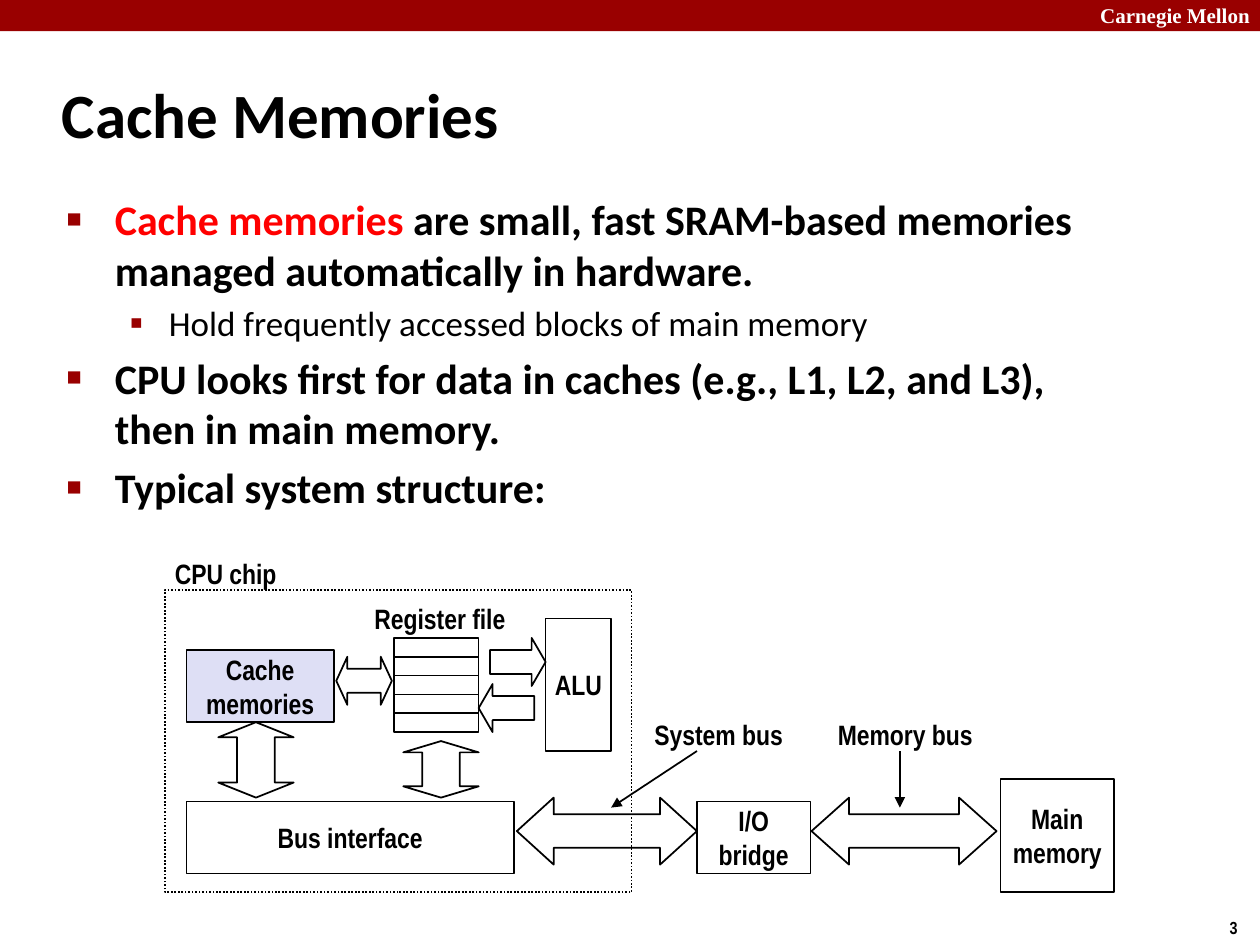
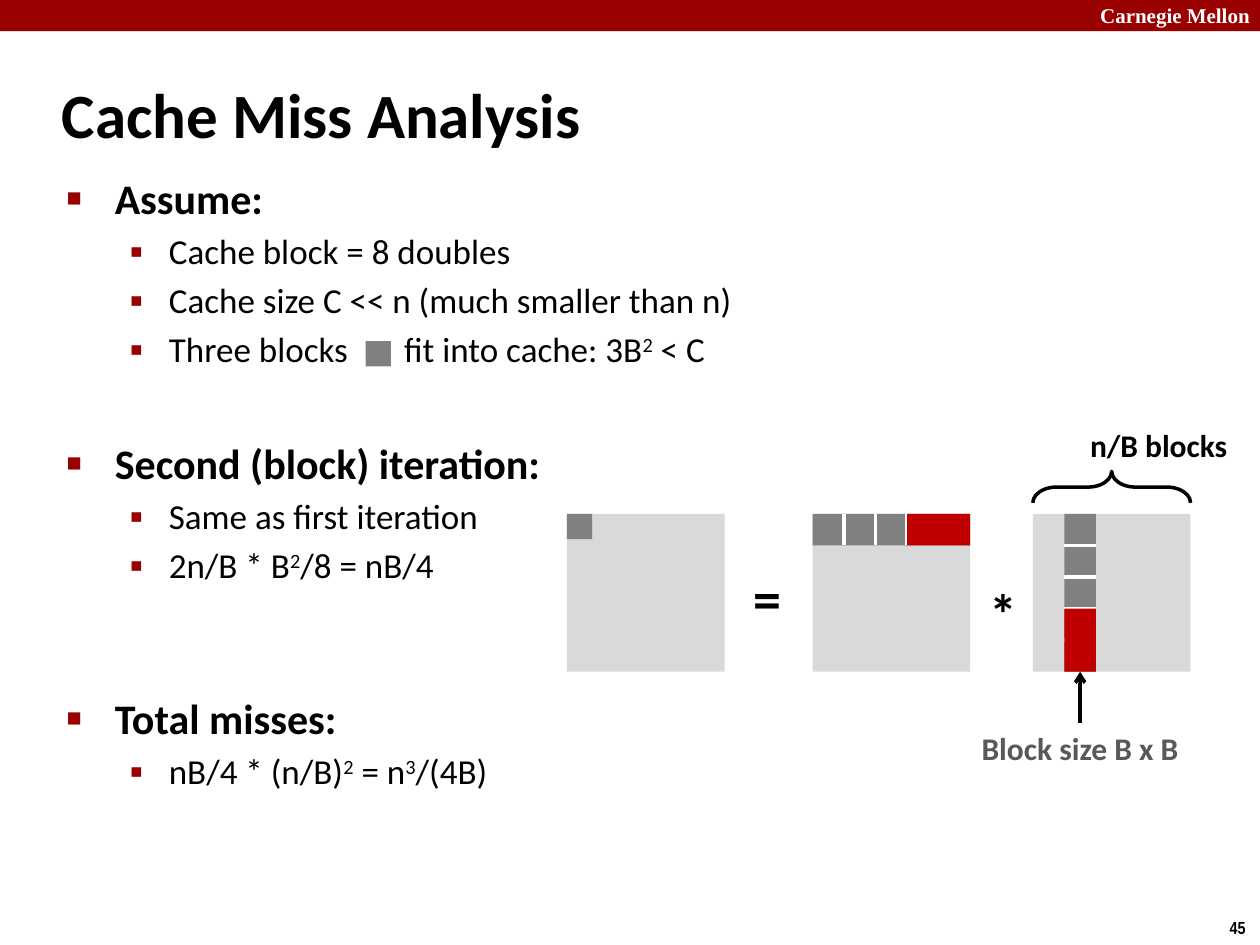
from dataclasses import dataclass

from lxml import etree
from pptx import Presentation
from pptx.dml.color import RGBColor
from pptx.enum.dml import MSO_LINE
from pptx.enum.shapes import MSO_CONNECTOR, MSO_SHAPE
from pptx.enum.text import MSO_ANCHOR, MSO_AUTO_SIZE, PP_ALIGN
from pptx.oxml.ns import qn
from pptx.util import Cm, Pt

RECTANGLE = MSO_SHAPE.RECTANGLE
LEFT_ARROW = MSO_SHAPE.LEFT_ARROW
RIGHT_ARROW = MSO_SHAPE.RIGHT_ARROW
LEFT_RIGHT_ARROW = MSO_SHAPE.LEFT_RIGHT_ARROW
LEFT_BRACE = MSO_SHAPE.LEFT_BRACE
STRAIGHT = MSO_CONNECTOR.STRAIGHT
DOTTED = MSO_LINE.ROUND_DOT
MIDDLE = MSO_ANCHOR.MIDDLE
LEFT, CENTER, RIGHT = PP_ALIGN.LEFT, PP_ALIGN.CENTER, PP_ALIGN.RIGHT
NO_AUTOFIT = MSO_AUTO_SIZE.NONE
BOTTOM_SIDE = 2


@dataclass(frozen=True)
class Theme:
    text_font: str = "Calibri"
    diagram_font: str = "Arial Narrow"
    band_font: str = "Times New Roman"
    title_size: float = 36
    body_sizes: tuple = (24, 20)
    operator_size: float = 32
    caption_size: float = 18
    diagram_size: float = 16
    band_size: float = 12
    number_size: float = 10
    black: str = "000000"
    white: str = "FFFFFF"
    crimson: str = "990000"
    highlight: str = "FF0000"
    cache_fill: str = "DEDFF5"
    matrix: str = "D9D9D9"
    block: str = "808080"
    missed: str = "C00000"
    caption: str = "595959"


THEME = Theme()

# Per level: bullet character, size in percent, left margin and hanging indent in cm
BULLETS = (("■", 60, 0.97, 0.97), ("▪", 110, 2.06, 0.79))

# Body entries: level, runs of (text, style), and space before in points if unusual
MEMORY_POINTS = (
    (0, (("Cache memories", "highlight"),
         (" are small, fast SRAM-based memories managed automatically in hardware.", ""))),
    (1, (("Hold frequently accessed blocks of main memory", ""),)),
    (0, (("CPU looks first for data in caches (e.g., L1, L2, and L3), "
          "then in main memory.", ""),)),
    (0, (("Typical system structure:", ""),)),
)
MISS_POINTS = (
    (0, (("Assume:", ""),)),
    (1, (("Cache block = 8 doubles", ""),)),
    (1, (("Cache size C << n (much smaller than n)", ""),)),
    (1, (("Three blocks", ""), (" ", "gap"), ("fit into cache: 3B", ""),
         ("2", "superscript"), (" < C", ""))),
    (0, (("Second (block) iteration:", ""),), 38.5),
    (1, (("Same as first iteration", ""),)),
    (1, (("2n/B * B", ""), ("2", "superscript"), ("/8 = nB/4", ""))),
    (0, (("Total misses:", ""),), 61),
    (1, (("nB/4 * (n/B)", ""), ("2", "superscript"), (" = n", ""),
         ("3", "superscript"), ("/(4B)", ""))),
)


def color(value):
    return RGBColor.from_string(value)


def place(shape, left, top, width, height):
    shape.left, shape.top = Cm(left), Cm(top)
    shape.width, shape.height = Cm(width), Cm(height)


def format_font(font, name, size, font_color=THEME.black, bold=True):
    font.name, font.size, font.bold = name, Pt(size), bold
    font.color.rgb = color(font_color)


def fill_text(shape, text, name, size, font_color=THEME.black, align=CENTER):
    frame = shape.text_frame
    frame.text = text
    frame.word_wrap = False
    frame.vertical_anchor = MIDDLE
    for paragraph in frame.paragraphs:
        paragraph.alignment = align
        for run in paragraph.runs:
            format_font(run.font, name, size, font_color)


def add_figure(slide, kind, box, fill=None, line=None, weight=1, head=None):
    """Add a preset shape; head is the arrowhead length adjustment."""
    shape = slide.shapes.add_shape(kind, *map(Cm, box))
    shape.shadow.inherit = False
    if fill:
        shape.fill.solid()
        shape.fill.fore_color.rgb = color(fill)
    else:
        shape.fill.background()
    if line:
        shape.line.color.rgb = color(line)
        shape.line.width = Pt(weight)
    else:
        shape.line.fill.background()
    if head:
        shape.adjustments[1] = head
    return shape


def add_label(slide, center_x, center_y, width, text, name, size, font_color=THEME.black):
    height = 0.94
    label = slide.shapes.add_textbox(
        Cm(center_x - width / 2), Cm(center_y - height / 2), Cm(width), Cm(height))
    fill_text(label, text, name, size, font_color)


def add_line(slide, start, end, line_color=THEME.black, weight=1, arrowhead=None):
    line = slide.shapes.add_connector(STRAIGHT, *map(Cm, (*start, *end)))
    line.line.color.rgb = color(line_color)
    line.line.width = Pt(weight)
    properties = line._element.spPr
    if arrowhead:
        etree.SubElement(properties.find(qn("a:ln")), qn("a:tailEnd"), type=arrowhead)
    etree.SubElement(properties, qn("a:effectLst"))
    return line


def add_bullet(paragraph, level):
    character, percent, margin, hanging = BULLETS[level]
    properties = paragraph._p.get_or_add_pPr()
    properties.set("marL", str(Cm(margin)))
    properties.set("indent", str(-Cm(hanging)))
    bullet_color = etree.SubElement(properties, qn("a:buClr"))
    etree.SubElement(bullet_color, qn("a:srgbClr"), val=THEME.crimson)
    etree.SubElement(properties, qn("a:buSzPct"), val=str(percent * 1000))
    etree.SubElement(properties, qn("a:buFont"), typeface="Arial")
    etree.SubElement(properties, qn("a:buChar"), char=character)


def add_styled_run(paragraph, text, style, level):
    run = paragraph.add_run()
    run.text = text
    run_color = THEME.highlight if style == "highlight" else THEME.black
    format_font(run.font, THEME.text_font, THEME.body_sizes[level], run_color, level == 0)
    properties = run._r.get_or_add_rPr()
    if style == "superscript":
        properties.set("baseline", "30000")
    elif style == "gap":
        properties.set("spc", "2750")


def fill_body(body, points):
    frame = body.text_frame
    frame.auto_size = NO_AUTOFIT
    for index, (level, runs, *space) in enumerate(points):
        paragraph = frame.add_paragraph() if index else frame.paragraphs[0]
        paragraph.level = level
        usual_space = THEME.body_sizes[level] * 0.2 if index else 0
        paragraph.space_before = Pt(space[0] if space else usual_space)
        add_bullet(paragraph, level)
        for text, style in runs:
            add_styled_run(paragraph, text, style, level)


def add_band(slide, box):
    band = add_figure(slide, RECTANGLE, box, THEME.crimson)
    fill_text(band, "Carnegie Mellon", THEME.band_font, THEME.band_size, THEME.white, RIGHT)
    band.text_frame.word_wrap = True
    band.text_frame.margin_right = Cm(0.2)
    band.text_frame.margin_top = band.text_frame.margin_bottom = 0


def add_content_slide(presentation, title, number, points, body_box):
    slide = presentation.slides.add_slide(presentation.slide_layouts[1])
    add_band(slide, (0, 0, 25.4, 0.63))
    number_box = slide.shapes.add_textbox(Cm(24.54), Cm(18.36), Cm(0.86), Cm(0.69))
    fill_text(number_box, number, THEME.diagram_font, THEME.number_size, align=LEFT)
    heading = slide.shapes.title
    place(heading, 0.99, 1.22, 21.08, 2.11)
    fill_text(heading, title, THEME.text_font, THEME.title_size, align=LEFT)
    heading.text_frame.auto_size = NO_AUTOFIT
    heading.text_frame.word_wrap = True
    body = slide.placeholders[1]
    place(body, *body_box)
    fill_body(body, points)
    return slide


def add_system_diagram(slide, chip_box):
    """Draw the CPU chip in chip_box, with the buses and memory to its right."""
    left, top, *_ = chip_box

    def shifted(x, y, *size):
        return (left + x, top + y, *size)

    chip = add_figure(slide, RECTANGLE, chip_box, line=THEME.black)
    chip.line.dash_style = DOTTED

    unit_top, unit_height = 4.27, 1.45
    units = (
        ("Main\nmemory", (16.84, 3.81, 2.29, 2.29), None),
        ("I/O\nbridge", (10.72, unit_top, 2.29, unit_height), None),
        ("Bus interface", (0.43, unit_top, 6.6, unit_height), None),
        ("ALU", (7.67, 0.58, 1.32, 2.67), None),
        ("Cache\nmemories", (0.43, 1.22, 2.97, unit_height), THEME.cache_fill),
    )
    for text, box, fill in units:
        unit = add_figure(slide, RECTANGLE, shifted(*box), fill, THEME.black)
        fill_text(unit, text, THEME.diagram_font, THEME.diagram_size)

    register_height = 0.38
    for index in range(5):
        register_box = shifted(4.62, 0.97 + index * register_height, 1.7, register_height)
        add_figure(slide, RECTANGLE, register_box, line=THEME.black)

    # The last two arrows are turned upright about their centers
    arrows = (
        (LEFT_RIGHT_ARROW, (13.03, 4.19, 3.73, 1.35), 0.56, 0),
        (LEFT_RIGHT_ARROW, (7.09, 4.19, 3.63, 1.35), 0.55, 0),
        (LEFT_RIGHT_ARROW, (3.45, 1.35, 1.12, 0.97), 0.23, 0),
        (RIGHT_ARROW, (6.55, 0.97, 1.12, 0.97), 0.29, 0),
        (LEFT_ARROW, (6.32, 1.9, 1.12, 0.97), 0.29, 0),
        (LEFT_RIGHT_ARROW, (4.99, 2.86, 1.14, 1.52), 0.2, 90),
        (LEFT_RIGHT_ARROW, (1.07, 2.67, 1.52, 1.52), 0.2, 90),
    )
    for kind, box, head, rotation in arrows:
        arrow = add_figure(slide, kind, shifted(*box), line=THEME.black, head=head)
        arrow.rotation = rotation

    labels = (("Register file", 5.54, 0.57), ("CPU chip", 1.22, -0.34),
              ("System bus", 11.16, 2.91), ("Memory bus", 14.92, 2.91))
    for text, x, y in labels:
        add_label(slide, *shifted(x, y), 3.3, text, THEME.diagram_font, THEME.diagram_size)

    for start_x, end_x in ((10.72, 8.99), (14.81, 14.81)):
        add_line(slide, shifted(start_x, 3.25), shifted(end_x, 4.39), arrowhead="triangle")


def add_matrix_product(slide, box):
    """Draw result = row * column; the box height is the side of each matrix."""
    left, top, width, side = box
    block = side / 5
    factor_left, column_matrix_left = left + 4.95, left + width - side
    column_left = column_matrix_left + block
    for matrix_left in (left, factor_left, column_matrix_left):
        add_figure(slide, RECTANGLE, (matrix_left, top, side, side), THEME.matrix)
    add_figure(slide, RECTANGLE, (left, top, 0.51, 0.51), THEME.block)
    for text, x, y in (("=", 4.05, 1.68), ("*", 8.8, 1.98)):
        add_label(slide, left + x, top + y, 1.1, text, THEME.text_font, THEME.operator_size)

    add_figure(slide, RECTANGLE, (factor_left, top, side, block), THEME.block)
    add_figure(slide, RECTANGLE, (column_left, top, block, side), THEME.block)
    for index in range(1, 5):
        x, y = factor_left + index * block, top + index * block
        add_line(slide, (x, top), (x, top + block), THEME.white, 2)
        add_line(slide, (column_left, y), (column_left + block, y), THEME.white, 2)
    missed_start, missed_length = 3 * block, 2 * block
    add_figure(slide, RECTANGLE,
               (factor_left + missed_start, top, missed_length, block), THEME.missed)
    missed_column = add_figure(
        slide, RECTANGLE,
        (column_left, top + missed_start, block, missed_length), THEME.missed)

    column_center = column_left + block / 2
    pointer = add_line(slide, (column_center, top + side + 1.04),
                       (column_center, top + side), weight=2, arrowhead="arrow")
    pointer.end_connect(missed_column, BOTTOM_SIDE)
    add_label(slide, column_center, top + 4.72, 4.5, "Block size B x B",
              THEME.text_font, THEME.caption_size, THEME.caption)

    brace_center = column_matrix_left + side / 2
    brace = add_figure(slide, LEFT_BRACE,
                       (brace_center - block / 2, top - 0.54 - side / 2, block, side),
                       line=THEME.black, weight=2)
    brace.adjustments[0] = 0.75
    brace.rotation = 90
    add_label(slide, left + 11.93, top - 1.4, 3.3, "n/B blocks",
              THEME.text_font, THEME.caption_size)


def main():
    presentation = Presentation()
    presentation.slide_width, presentation.slide_height = Cm(25.4), Cm(19.05)

    memories = add_content_slide(presentation, "Cache Memories", "3", MEMORY_POINTS,
                                 (1.09, 3.78, 21.95, 13.82))
    add_system_diagram(memories, (3.33, 11.89, 9.4, 6.1))

    analysis = add_content_slide(presentation, "Cache Miss Analysis", "45", MISS_POINTS,
                                 (1.09, 3.35, 21.95, 14.83))
    add_figure(analysis, RECTANGLE, (7.37, 6.88, 0.51, 0.51), THEME.block)
    add_matrix_product(analysis, (11.43, 10.36, 12.57, 3.18))

    presentation.save("out.pptx")


if __name__ == "__main__":
    main()
